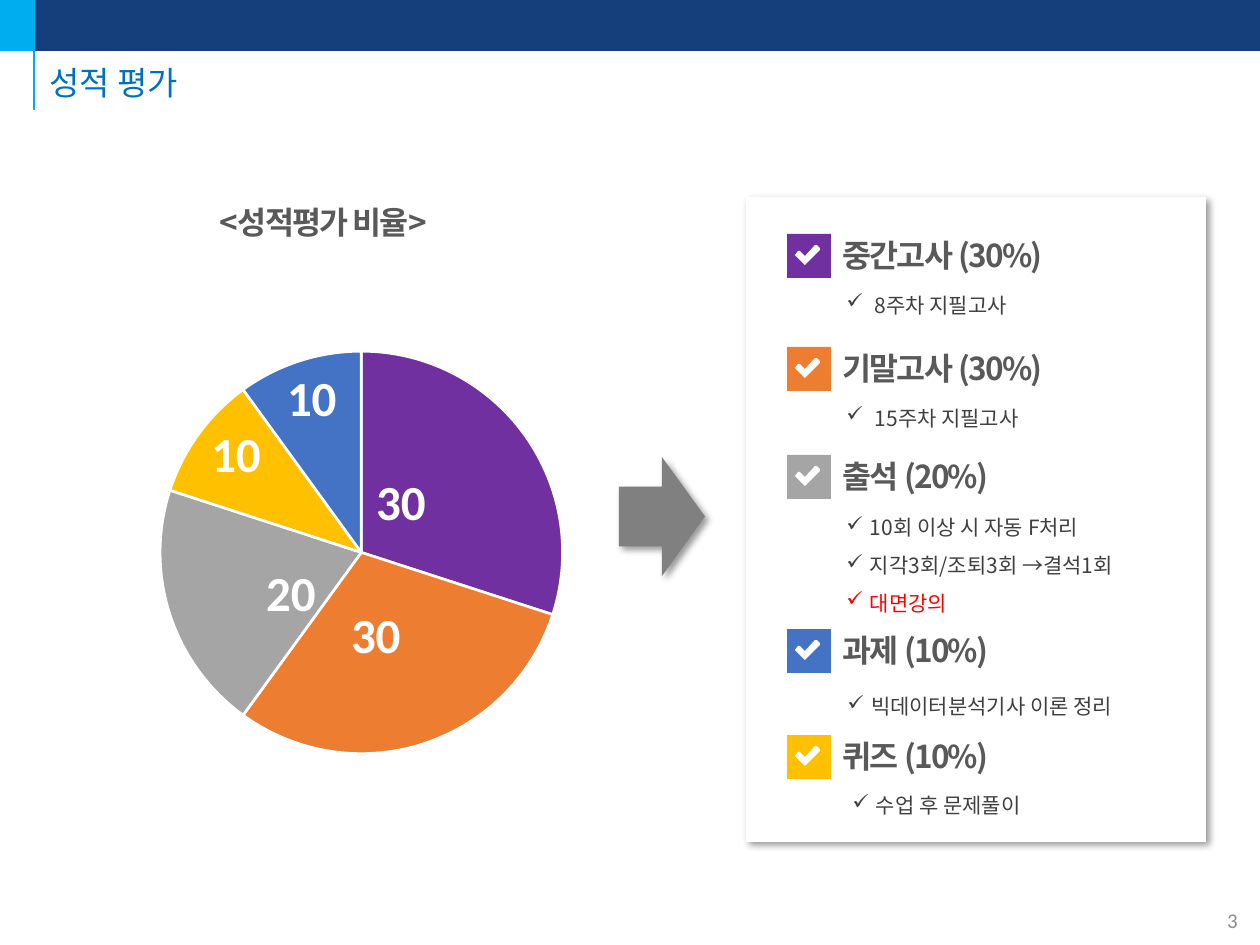
from lxml import etree
from pptx import Presentation
from pptx import util as u
from pptx.chart import data as cd, point as pt
from pptx.dml.color import RGBColor
from pptx.enum import chart as ch, shapes, text
from pptx.oxml import parse_xml
from pptx.oxml.ns import nsdecls, qn

PX = 914400 / 126


def px(n):
    return u.Emu(round(n * PX))


def rgb(value):
    return RGBColor.from_string(value)


class Deck:
    font = "Noto Sans CJK KR"
    number_font = "Calibri"
    heading = "595959"
    body = "404040"
    white = "FFFFFF"
    check = [(0, 10), (3, 6), (5, 6), (10, 11), (20, 0), (22, 0),
             (25, 3), (25, 5), (12, 18), (10, 20), (8, 18)]

    def __init__(self):
        self.prs = Presentation()
        self.prs.slide_width, self.prs.slide_height = px(1260), px(945)
        self.s = self.prs.slides.add_slide(self.prs.slide_layouts[6])

    def paint(self, sp, fill, line=None):
        sp.shadow.inherit = False
        sp.fill.solid()
        sp.fill.fore_color.rgb = rgb(fill)
        if line:
            sp.line.color.rgb = rgb(line)
            sp.line.width = u.Pt(1)
        else:
            sp.line.fill.background()

    def shape(self, kind, x, y, w, h, fill, line=None, parent=None):
        sp = (parent or self.s).shapes.add_shape(kind, px(x), px(y), px(w), px(h))
        self.paint(sp, fill, line)
        return sp

    def cast_shadow(self, sp):
        effects = sp._element.spPr.find(qn("a:effectLst"))
        effects.append(parse_xml(
            f'<a:outerShdw {nsdecls("a")} blurRad="50800" dist="38100" dir="2700000" '
            'algn="tl" rotWithShape="0"><a:srgbClr val="000000"><a:alpha val="40000"/>'
            '</a:srgbClr></a:outerShdw>'))

    def line(self, x1, y1, x2, y2, color, width):
        c = self.s.shapes.add_connector(shapes.MSO_CONNECTOR.STRAIGHT,
                                        px(x1), px(y1), px(x2), px(y2))
        c.line.color.rgb = rgb(color)
        c.line.width = u.Pt(width)
        etree.SubElement(c._element.spPr, qn("a:effectLst"))

    def text(self, x, y, w, h, lines, size, color, font=None, bold=False,
             middle=True, align=None, spacing=None, tracking=None):
        sp = self.s.shapes.add_textbox(px(x), px(y), px(w), px(h))
        tf = sp.text_frame
        tf.word_wrap = True
        tf.vertical_anchor = text.MSO_ANCHOR.MIDDLE if middle else text.MSO_ANCHOR.TOP
        tf.text = "\n".join(lines)
        for p in tf.paragraphs:
            p.alignment = align
            p.line_spacing = spacing
            for r in p.runs:
                r.font.size = u.Pt(size)
                r.font.bold = bold
                r.font.name = font or self.font
                r.font.color.rgb = rgb(color)
                rPr = r._r.get_or_add_rPr()
                etree.SubElement(rPr, qn("a:ea")).set("typeface", font or self.font)
                if tracking:
                    rPr.set("spc", str(tracking))
        return tf

    def title(self, x, y, label):
        self.text(x, y, 262, 50, [label], 18, self.heading, bold=True, tracking=-100)

    def bullets(self, x, y, w, h, lines, spacing):
        tf = self.text(x, y, w, h, lines, 12, self.body, middle=False, spacing=spacing)
        for p in tf.paragraphs:
            pPr = p._p.get_or_add_pPr()
            pPr.set("marL", "171450")
            pPr.set("indent", "-171450")
            etree.SubElement(pPr, qn("a:buChar")).set("char", "✓")
        return tf

    def checkbox(self, x, y, color):
        g = self.s.shapes.add_group_shape()
        self.shape(shapes.MSO_SHAPE.RECTANGLE, x, y, 44, 44, color, parent=g)
        points = [(x + 8 + dx, y + 11 + dy) for dx, dy in self.check]
        fb = g.shapes.build_freeform(*points[0], scale=PX)
        fb.add_line_segments(points[1:], close=True)
        self.paint(fb.convert_to_shape(), self.white)

    def label_font(self, font):
        font.size = u.Pt(28)
        font.bold = True
        font.name = self.number_font
        font.color.rgb = rgb(self.white)

    def layout(self, **values):
        items = "".join(f'<c:{k} val="{v}"/>' for k, v in values.items())
        return parse_xml(f'<c:layout {nsdecls("c")}><c:manualLayout>{items}'
                         '</c:manualLayout></c:layout>')

    def pie(self, x, y, w, h, categories, values, colors, shifts):
        data = cd.CategoryChartData()
        data.categories = categories
        data.add_series("Series 1", values)
        chart = self.s.shapes.add_chart(ch.XL_CHART_TYPE.PIE, px(x), px(y),
                                        px(w), px(h), data).chart
        chart.has_legend = chart.has_title = False
        chart.font.size = u.Pt(10)
        chart.font.name = self.number_font
        chart.font.color.rgb = rgb("000000")
        plot = chart.plots[0]
        plot.vary_by_categories = True
        series = plot.series[0]
        labels = series.data_labels
        labels.show_value = True
        labels.position = ch.XL_LABEL_POSITION.BEST_FIT
        self.label_font(labels.font)
        for i, color in enumerate(colors):
            fmt = pt.Point(series._element, i).format
            fmt.fill.solid()
            fmt.fill.fore_color.rgb = rgb(color)
            fmt.line.color.rgb = rgb(self.white)
            fmt.line.width = u.Pt(1.5)
        for i in range(len(shifts)):
            label = series.points[i].data_label
            self.label_font(label.font)
            label.position = ch.XL_LABEL_POSITION.CENTER
        for node, (dx, dy) in zip(series._element.iter(qn("c:dLbl")), shifts):
            node.find(qn("c:idx")).addnext(self.layout(x=dx, y=dy))
        area = chart._chartSpace.find(".//" + qn("c:plotArea"))
        old = area.find(qn("c:layout"))
        if old is not None:
            area.remove(old)
        area.insert(0, self.layout(layoutTarget="inner", xMode="edge", yMode="edge",
                                   x=0.27, y=0.14, w=0.48, h=0.72))


def main():
    purple, orange, gray, yellow, blue = "7030A0", "ED7D31", "A5A5A5", "FFC000", "4472C4"
    navy, cyan = "143F7B", "00ADEF"
    rect = shapes.MSO_SHAPE.RECTANGLE
    d = Deck()
    d.shape(rect, 0, 0, 1260, 50, navy, navy)
    d.shape(rect, 0, 0, 33, 50, cyan, cyan)
    d.line(34, 110, 34, 0, cyan, 1.5)
    d.text(1206, 895, 53, 50, ["3"], 12, "8C8C8C", font=d.number_font,
           align=text.PP_ALIGN.CENTER)
    d.text(37, 57, 1222, 55, ["성적 평가"], 18.8, "0070C0", spacing=0.9)

    d.cast_shadow(d.shape(rect, 746, 197, 460, 645, d.white))
    d.cast_shadow(d.shape(shapes.MSO_SHAPE.RIGHT_ARROW, 619, 457, 86, 119, "808080"))
    d.title(207, 197, "<성적평가 비율>")
    d.pie(-67, 273, 840, 559, ["1", "2", "3", "4"], [30, 30, 20, 10, 10],
          [purple, orange, gray, yellow, blue],
          [(-0.05, 0.02), (-0.02, -0.02), (0.03, 0.02)])

    items = [
        (234, purple, "중간고사 (30%)", 834, 286, 1, [" 8주차 지필고사"]),
        (347, orange, "기말고사 (30%)", 834, 399, 1, [" 15주차 지필고사"]),
        (455, gray, "출석 (20%)", 834, 496, 1.5,
         ["10회 이상 시 자동 F처리", "지각3회/조퇴3회 →결석1회", "대면강의"]),
        (629, blue, "과제 (10%)", 835, 675, 1.5, ["빅데이터분석기사 이론 정리"]),
        (735, yellow, "퀴즈 (10%)", 840, 774, 1.5, ["수업 후 문제풀이"]),
    ]
    for top, color, label, x, y, spacing, lines in items:
        d.checkbox(787, top, color)
        d.title(830, top - 4, label)
        tf = d.bullets(x, y, 362, 9 + 38 * len(lines), lines, spacing)
        if lines[-1] == "대면강의":
            tf.paragraphs[-1].runs[0].font.color.rgb = rgb("FF0000")

    d.prs.save("out.pptx")


if __name__ == "__main__":
    main()
